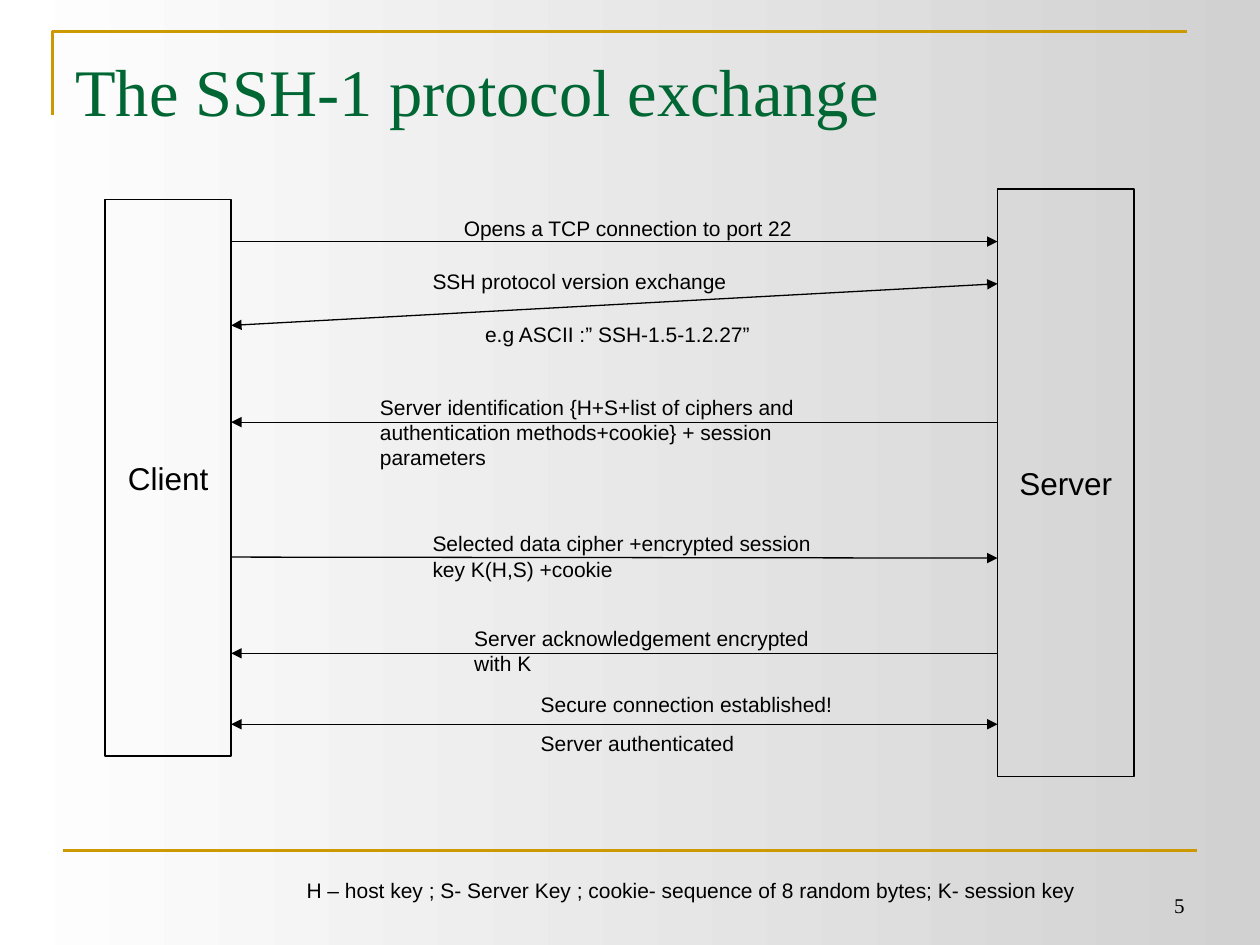
from dataclasses import dataclass

from lxml import etree
from pptx import Presentation
from pptx.dml.color import RGBColor
from pptx.enum.shapes import MSO_CONNECTOR, MSO_SHAPE
from pptx.enum.text import MSO_ANCHOR, PP_ALIGN
from pptx.oxml.ns import qn
from pptx.util import Cm, Pt

STRAIGHT = MSO_CONNECTOR.STRAIGHT
RECTANGLE = MSO_SHAPE.RECTANGLE
TOP, MIDDLE, BOTTOM = MSO_ANCHOR.TOP, MSO_ANCHOR.MIDDLE, MSO_ANCHOR.BOTTOM
LEFT, CENTER, RIGHT = PP_ALIGN.LEFT, PP_ALIGN.CENTER, PP_ALIGN.RIGHT


@dataclass(frozen=True)
class Theme:
    ink: RGBColor = RGBColor(0x00, 0x00, 0x00)
    title: RGBColor = RGBColor(0x00, 0x66, 0x33)
    gold: RGBColor = RGBColor(0xCC, 0x99, 0x00)
    grey: RGBColor = RGBColor(0xD1, 0xD1, 0xD1)
    white: RGBColor = RGBColor(0xFF, 0xFF, 0xFF)
    sans: str = "Arial"
    serif: str = "Times New Roman"
    title_size: Pt = Pt(38)
    party_size: Pt = Pt(18)
    body_size: Pt = Pt(12)
    rule_width: Pt = Pt(1.5)
    line_width: Pt = Pt(0.75)


theme = Theme()


def set_text(sp, text, size=theme.body_size, font=theme.sans, color=theme.ink,
             align=LEFT, anchor=TOP, before=0, wrap=True):
    """Fill a shape with text, one paragraph per line."""
    tf = sp.text_frame
    tf.word_wrap = wrap
    tf.vertical_anchor = anchor
    tf.text = text
    for p in tf.paragraphs:
        p.alignment = align
        p.space_before = Pt(before)
        p.font.size = size
        p.font.name = font
        p.font.color.rgb = color


def add_line(x1, y1, x2, y2, color=theme.ink, width=theme.line_width, ends=()):
    """Draw a line; ends names the arrowheads: headEnd at start, tailEnd at finish."""
    line = s.shapes.add_connector(STRAIGHT, Cm(x1), Cm(y1), Cm(x2), Cm(y2))
    line.line.color.rgb = color
    line.line.width = width
    spPr = line._element.spPr
    for end in ends:
        etree.SubElement(spPr.find(qn("a:ln")), qn(f"a:{end}"), type="triangle")
    etree.SubElement(spPr, qn("a:effectLst"))


prs = Presentation()
prs.slide_width, prs.slide_height = Cm(25.4), Cm(19.05)
s = prs.slides.add_slide(prs.slide_layouts[6])

# Background
fill = s.background.fill
fill.gradient()
fill.gradient_angle = 180
for stop, color in zip(fill.gradient_stops, (theme.grey, theme.white)):
    stop.color.rgb = color
fill.gradient_stops[0].position = 0
fill.gradient_stops[1].position = 1

# Title corner and footer rule
builder = s.shapes.build_freeform(Cm(1.06), Cm(2.32))
builder.add_line_segments([(Cm(1.06), Cm(0.63)), (Cm(23.92), Cm(0.63))], close=False)
corner = builder.convert_to_shape()
corner.shadow.inherit = False
corner.fill.background()
corner.line.color.rgb = theme.gold
corner.line.width = theme.rule_width
add_line(1.27, 17.15, 24.13, 17.15, theme.gold, theme.rule_width)

title = s.shapes.add_textbox(Cm(1.27), Cm(0.76), Cm(22.86), Cm(1.98))
set_text(title, "The SSH-1 protocol exchange", size=theme.title_size,
         font=theme.serif, color=theme.title, anchor=BOTTOM)

# The two parties
client_left, client_width, server_left = 2.12, 2.54, 20.11
for name, x, y, w, h in (
    ("Client", client_left, 4.02, client_width, 11.22),
    ("Server", server_left, 3.81, 2.75, 11.85),
):
    party = s.shapes.add_shape(RECTANGLE, Cm(x), Cm(y), Cm(w), Cm(h))
    party.shadow.inherit = False
    party.fill.background()
    party.line.color.rgb = theme.ink
    party.line.width = theme.line_width
    set_text(party, name, size=theme.party_size, align=CENTER, anchor=MIDDLE, wrap=False)

# Messages: height at the client, height at the server, arrowheads
client_edge = client_left + client_width
to_client, to_server, both = ("headEnd",), ("tailEnd",), ("headEnd", "tailEnd")
for client_y, server_y, ends in (
    (4.87, 4.87, to_server),
    (6.56, 5.72, both),
    (8.51, 8.51, to_client),
    (11.23, 11.25, to_server),
    (13.17, 13.17, to_client),
    (14.6, 14.6, both),
):
    add_line(client_edge, client_y, server_left, server_y, ends=ends)

for text, x, y, w, h in (
    ("Opens a TCP connection to port 22", 9.1, 4.23, 7.2, 0.76),
    ("SSH protocol version exchange", 8.47, 5.29, 7.2, 0.76),
    ("e.g ASCII :” SSH-1.5-1.2.27”", 9.53, 6.35, 7.2, 0.76),
    ("Server identification {H+S+list of ciphers and authentication "
     "methods+cookie} + session parameters", 7.41, 7.83, 8.89, 1.78),
    ("Selected data cipher +encrypted session key K(H,S) +cookie", 8.47, 10.58, 8.6, 1.27),
    ("Server acknowledgement encrypted with K", 9.31, 12.49, 7.41, 1.27),
    ("Secure connection established!\nServer authenticated", 10.65, 13.82, 7.41, 1.55),
    ("H – host key ; S- Server Key ; cookie- sequence of 8 random bytes; K- session key",
     5.93, 17.57, 16.09, 0.76),
):
    label = s.shapes.add_textbox(Cm(x), Cm(y), Cm(w), Cm(h))
    set_text(label, text, before=7.5)

number = s.shapes.add_textbox(Cm(18.2), Cm(17.36), Cm(5.93), Cm(1.27))
set_text(number, "5", font=theme.serif, align=RIGHT, anchor=BOTTOM)

prs.save("out.pptx")
